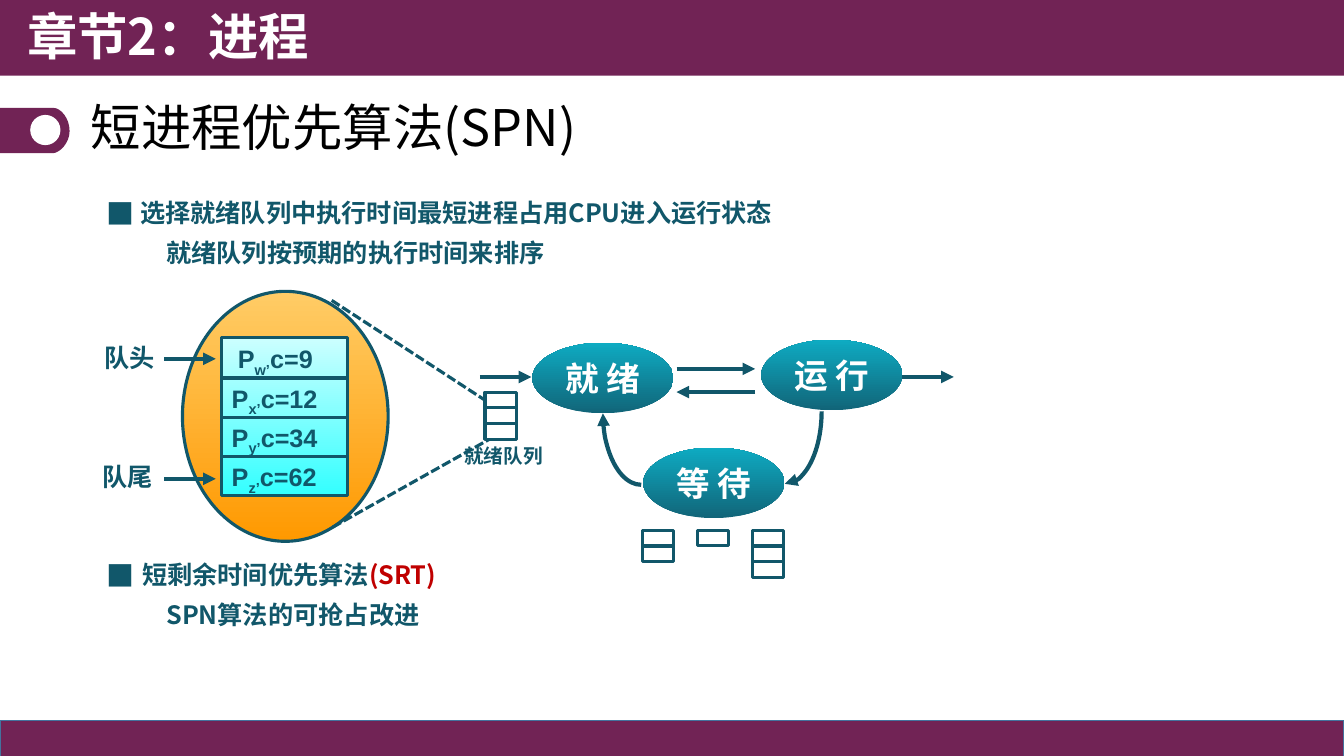
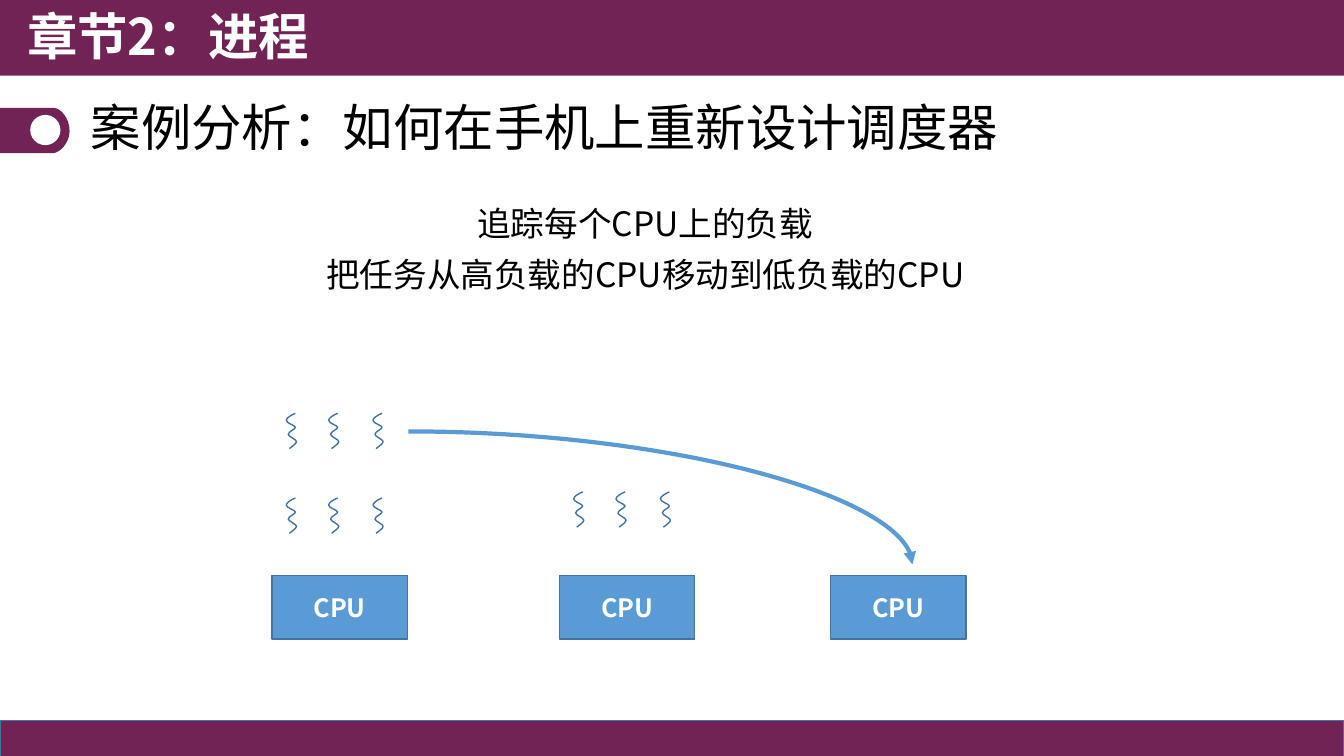
from dataclasses import dataclass

import lxml.etree
import pptx
import pptx.dml.color
import pptx.enum.dml
import pptx.enum.shapes
import pptx.enum.text
import pptx.oxml.ns
import pptx.util

Inches, Pt, qn = pptx.util.Inches, pptx.util.Pt, pptx.oxml.ns.qn
SHAPE = pptx.enum.shapes.MSO_SHAPE
CONNECTOR = pptx.enum.shapes.MSO_CONNECTOR
ALIGN = pptx.enum.text.PP_ALIGN
ANCHOR = pptx.enum.text.MSO_ANCHOR


@dataclass(frozen=True)
class Theme:
    plum: str = "712355"
    teal: str = "11576A"
    red: str = "C00000"
    blue: str = "5B9BD5"
    edge: str = "43739E"
    white: str = "FFFFFF"
    black: str = "000000"
    state: tuple = ("116579", "0EABC2", 270)
    zoom: tuple = ("FFCC66", "FF9900", 90)
    queue: tuple = ("CCFFFF", "33FFFF", 90)
    cjk: str = "Noto Sans CJK SC"
    bullet: str = "Noto Sans CJK JP"
    latin: str = "Arial"
    title: int = 36
    large: int = 24
    text: int = 18
    small: int = 14
    thin: float = 1
    medium: float = 2.25
    thick: float = 3


THEME = Theme()

CHAPTER = "章节2：进程"
SPN_TITLE = "短进程优先算法(SPN)"
# Each list: place, bullet indent, heading spans, detail line.
SPN_LISTS = [
    ((0.96, 1.91, 7.6, 0.85), 0.33,
     [("选择就绪队列中执行时间最短进程占用CPU进入运行状态", THEME.teal)],
     "就绪队列按预期的执行时间来排序"),
    ((0.96, 5.5, 5, 0.85), 0.35,
     [("短剩余时间优先算法", THEME.teal), ("(SRT)", THEME.red)],
     "SPN算法的可抢占改进"),
]
STATES = [("就 绪", 5.28, 3.4), ("运 行", 7.55, 3.37), ("等 待", 6.38, 4.44)]
STATE_ARROWS = [
    ((6.71, 3.66), (7.49, 3.66)), ((7.49, 3.89), (6.71, 3.89)),
    ((8.95, 3.74), (9.46, 3.74)), ((4.76, 3.74), (5.27, 3.74)),
]
STACKS = [(7.46, 5.26, 3), (6.37, 5.26, 2), (6.92, 5.26, 1), (4.81, 3.89, 3)]
QUEUE = [("w’", "c=9", 2.26), ("x’", "c=12", 2.2), ("y’", "c=34", 2.2), ("z’", "c=62", 2.2)]
QUEUE_ENDS = [("队头", 0.93, 3.35, 3.56), ("队尾", 0.91, 4.53, 4.75)]
ZOOM_LINES = [((3.29, 2.98), (4.81, 3.97)), ((3.3, 5.23), (4.85, 4.36))]

CASE_TITLE = "案例分析：如何在手机上重新设计调度器"
CASE_LINES = ["追踪每个CPU上的负载", "把任务从高负载的CPU移动到低负载的CPU"]
CPU_LEFTS = [2.7, 5.55, 8.24]
THREAD_GROUPS = [(5.69, 4.88), (2.84, 4.94), (2.84, 4.1)]
THREAD_OFFSETS = [0, 0.42, 0.86]

# An outline is a start point, then line ends (one point) or curves (three points).
THREAD = [(0.09, 0), [(0.04, 0.02), (0, 0.05), (0, 0.07)],
          [(0, 0.1), (0.09, 0.12), (0.09, 0.14)],
          [(0.09, 0.16), (0.02, 0.18), (0.02, 0.21)],
          [(0.02, 0.23), (0.1, 0.26), (0.1, 0.28)],
          [(0.1, 0.3), (0.07, 0.32), (0.03, 0.35)]]
MARKER = [(0, 0), [(0.53, 0)], [(0.6, 0), (0.69, 0.1), (0.69, 0.23)],
          [(0.69, 0.35), (0.59, 0.45), (0.52, 0.45)], [(0, 0.45)]]


def rgb(color):
    return pptx.dml.color.RGBColor.from_string(color)


def place(shape, at):
    shape.left, shape.top, shape.width, shape.height = map(Inches, at)


def paint(shape, fill=None, line=None, weight=THEME.medium):
    """Fill with a colour, a (first, last, clockwise angle) gradient or nothing."""
    shape.shadow.inherit = False
    if isinstance(fill, tuple):
        shape.fill.gradient()
        shape.fill.gradient_angle = 360 - fill[2]
        for stop, color in zip(shape.fill.gradient_stops, fill):
            stop.color.rgb = rgb(color)
    elif fill:
        shape.fill.solid()
        shape.fill.fore_color.rgb = rgb(fill)
    else:
        shape.fill.background()
    if line:
        shape.line.color.rgb = rgb(line)
        shape.line.width = Pt(weight)
    else:
        shape.line.fill.background()


def add_shape(page, kind, at, fill=None, line=None, weight=THEME.medium):
    shape = page.shapes.add_shape(kind, *map(Inches, at))
    paint(shape, fill, line, weight)
    return shape


def add_span(para, text, size, color, bold=True, font=THEME.cjk, baseline=0):
    span = para.add_run()
    span.text = text
    span.font.size, span.font.bold, span.font.name = Pt(size), bold, font
    span.font.color.rgb = rgb(color)
    props = span._r.get_or_add_rPr()
    if font == THEME.cjk:
        latin = props.find(qn("a:latin"))
        east = lxml.etree.Element(qn("a:ea"), typeface=font)
        latin.addnext(east)
    if baseline:
        props.set("baseline", str(baseline * 1000))


def add_label(page, at, spans, wrap=False, align=ALIGN.LEFT):
    """Add a one-line text box; each span is a tuple of add_span arguments."""
    box = page.shapes.add_textbox(*map(Inches, at))
    box.text_frame.word_wrap = wrap
    para = box.text_frame.paragraphs[0]
    para.alignment = align
    for span in spans:
        add_span(para, *span)


def write_inside(shape, text, size):
    frame = shape.text_frame
    frame.word_wrap = False
    frame.vertical_anchor = ANCHOR.MIDDLE
    frame.paragraphs[0].alignment = ALIGN.CENTER
    add_span(frame.paragraphs[0], text, size, THEME.white)


def add_arrowhead(shape, end="tailEnd"):
    outline = shape.element.spPr.find(qn("a:ln"))
    lxml.etree.SubElement(outline, qn("a:" + end), type="triangle")


def add_line(page, start, end, weight=THEME.thick, color=THEME.teal,
             arrow=False, dashed=False, kind=CONNECTOR.STRAIGHT):
    line = page.shapes.add_connector(kind, *map(Inches, start + end))
    line.line.color.rgb = rgb(color)
    line.line.width = Pt(weight)
    if dashed:
        line.line.dash_style = pptx.enum.dml.MSO_LINE.SQUARE_DOT
    if arrow:
        add_arrowhead(line)
    lxml.etree.SubElement(line.element.spPr, qn("a:effectLst"))
    return line


def add_outline(page, left, top, outline, closed=False):
    """Join the segment ends by lines, then bend the three-point segments into curves."""
    def spot(point):
        return Inches(left + point[0]), Inches(top + point[1])

    start, segments = outline[0], outline[1:]
    builder = page.shapes.build_freeform(*spot(start))
    builder.add_line_segments([spot(segment[-1]) for segment in segments], close=closed)
    shape = builder.convert_to_shape()
    lines = list(shape.element.iter(qn("a:lnTo")))
    for line, segment in zip(lines, segments):
        if len(segment) == 3:
            curve = lxml.etree.Element(qn("a:cubicBezTo"))
            for x, y in map(spot, segment):
                lxml.etree.SubElement(curve, qn("a:pt"), x=str(x - shape.left), y=str(y - shape.top))
            line.getparent().replace(line, curve)
    return shape


def set_bullet(para, margin, hanging=0, char=None):
    props = para._p.get_or_add_pPr()
    props.set("marL", str(Inches(margin)))
    props.set("indent", str(-Inches(hanging)))
    if not char:
        lxml.etree.SubElement(props, qn("a:buNone"))
        return
    color = lxml.etree.SubElement(props, qn("a:buClr"))
    lxml.etree.SubElement(color, qn("a:srgbClr"), val=THEME.teal)
    lxml.etree.SubElement(props, qn("a:buSzPct"), val="111000")
    lxml.etree.SubElement(props, qn("a:buFont"), typeface=THEME.bullet)
    lxml.etree.SubElement(props, qn("a:buChar"), char=char)


def format_paragraph(para, align=ALIGN.LEFT, spacing=0.9, before=0):
    para.alignment, para.line_spacing = align, spacing
    para.space_before = Pt(before)


def prepare_frame(placeholder, at, anchor=ANCHOR.TOP):
    place(placeholder, at)
    frame = placeholder.text_frame
    frame.word_wrap = True
    frame.auto_size = pptx.enum.text.MSO_AUTO_SIZE.NONE
    frame.vertical_anchor = anchor
    return frame


def add_master_bands(deck, page):
    """Draw the bands on a page, then move them behind everything on the master."""
    bands = [
        add_shape(page, SHAPE.RECTANGLE, (0, 7.15, 13.33, 0.36), THEME.plum, THEME.edge, THEME.thin),
        add_shape(page, SHAPE.RECTANGLE, (-0.03, 0, 13.36, 0.75), THEME.plum),
    ]
    for number, band in enumerate(bands, 100):
        band.element.nvSpPr.cNvPr.set("id", str(number))
        deck.slide_master.shapes.element.insert(2, band.element)


def start_page(deck, layout, title):
    page = deck.slides.add_slide(deck.slide_layouts.get_by_name(layout))
    frame = prepare_frame(page.shapes.title, (0.8, 0.87, 10, 0.85), ANCHOR.MIDDLE)
    format_paragraph(frame.paragraphs[0])
    add_span(frame.paragraphs[0], title, THEME.title, THEME.black, False)
    add_label(page, (0.17, 0, 6.67, 0.77), [(CHAPTER, THEME.title, THEME.white)], wrap=True)
    paint(add_outline(page, 0, 1.07, MARKER, closed=True), THEME.plum)
    add_shape(page, SHAPE.OVAL, (0.3, 1.14, 0.3, 0.3), THEME.white)
    return page


def add_state_diagram(page):
    for name, left, top in STATES:
        state = add_shape(page, SHAPE.OVAL, (left, top, 1.4, 0.7), THEME.state)
        write_inside(state, name, THEME.large)
    to_wait = add_shape(page, SHAPE.ARC, (7.42, 3.35, 0.73, 1.45), None, THEME.teal, THEME.thick)
    to_ready = add_shape(page, SHAPE.ARC, (5.98, 3.38, 0.76, 1.43), None, THEME.teal, THEME.thick)
    to_ready.element.spPr.find(qn("a:xfrm")).set("flipH", "1")
    for arc, end in ((to_wait, "tailEnd"), (to_ready, "headEnd")):
        arc.adjustments[0], arc.adjustments[1] = 0.54, 54
        add_arrowhead(arc, end)
    for start, end in STATE_ARROWS:
        add_line(page, start, end, arrow=True)
    cell = 0.47 / 3
    for left, top, count in STACKS:
        for row in range(count):
            add_shape(page, SHAPE.RECTANGLE, (left, top + row * cell, 0.31, cell), None, THEME.teal)
    add_label(page, (4.5, 4.36, 0.99, 0.34),
              [("就绪队列", THEME.small, THEME.teal, True, THEME.latin)], align=ALIGN.CENTER)


def add_queue_zoom(page):
    left, top, width, pitch = 2.2, 3.36, 1.25, 0.39
    style = (THEME.text, THEME.teal, True, THEME.latin)
    add_shape(page, SHAPE.OVAL, (1.81, 2.89, 2.04, 2.48), THEME.zoom, THEME.teal)
    add_shape(page, SHAPE.RECTANGLE, (left, 3.35, width, 1.57), THEME.queue, THEME.teal)
    for row, (name, cost, text_left) in enumerate(QUEUE):
        y = top + row * pitch
        add_label(page, (text_left, y, 1.28, 0.4),
                  [("P", *style), (name, *style, -25), (cost, *style)])
        if row:
            add_line(page, (left, y), (left + width, y), THEME.medium)
    for name, label_left, label_top, y in QUEUE_ENDS:
        add_label(page, (label_left, label_top, 0.71, 0.4), [(name, *style)], align=ALIGN.CENTER)
        add_line(page, (1.63, y), (2.14, y), arrow=True)
    for start, end in ZOOM_LINES:
        add_line(page, start, end, THEME.medium, dashed=True)


def build_spn_page(deck):
    page = start_page(deck, "Two Content", SPN_TITLE)
    add_master_bands(deck, page)
    for body, (at, indent, heading, detail) in zip(list(page.placeholders)[1:], SPN_LISTS):
        frame = prepare_frame(body, at)
        first, second = frame.paragraphs[0], frame.add_paragraph()
        set_bullet(first, indent, indent, "■")
        format_paragraph(first, spacing=1.0)
        for text, color in heading:
            add_span(first, text, THEME.text, color)
        set_bullet(second, 0.59)
        format_paragraph(second, before=9)
        add_span(second, detail, THEME.text, THEME.teal)
    add_state_diagram(page)
    add_queue_zoom(page)


def build_case_page(deck):
    page = start_page(deck, "Title and Content", CASE_TITLE)
    frame = prepare_frame(page.placeholders[1], (1.9, 2.01, 9, 4.12))
    for number, text in enumerate(CASE_LINES):
        para = frame.add_paragraph() if number else frame.paragraphs[0]
        set_bullet(para, 0)
        format_paragraph(para, ALIGN.CENTER, before=10.5 if number else 0)
        add_span(para, text, THEME.large, THEME.black, False)
    for left in CPU_LEFTS:
        cpu = add_shape(page, SHAPE.RECTANGLE, (left, 5.71, 1.34, 0.63), THEME.blue, THEME.edge, THEME.thin)
        write_inside(cpu, "CPU", THEME.text)
    for left, top in THREAD_GROUPS:
        for offset in THREAD_OFFSETS:
            paint(add_outline(page, left + offset, top, THREAD), None, THEME.edge, THEME.thin)
    move = add_line(page, (4.05, 4.28), (9.05, 5.6), color=THEME.blue, arrow=True, kind=CONNECTOR.CURVE)
    move.element.spPr.find(qn("a:prstGeom")).set("prst", "curvedConnector2")


def main():
    deck = pptx.Presentation()
    deck.slide_width, deck.slide_height = Inches(13.33), Inches(7.5)
    build_spn_page(deck)
    build_case_page(deck)
    deck.save("out.pptx")


if __name__ == "__main__":
    main()
